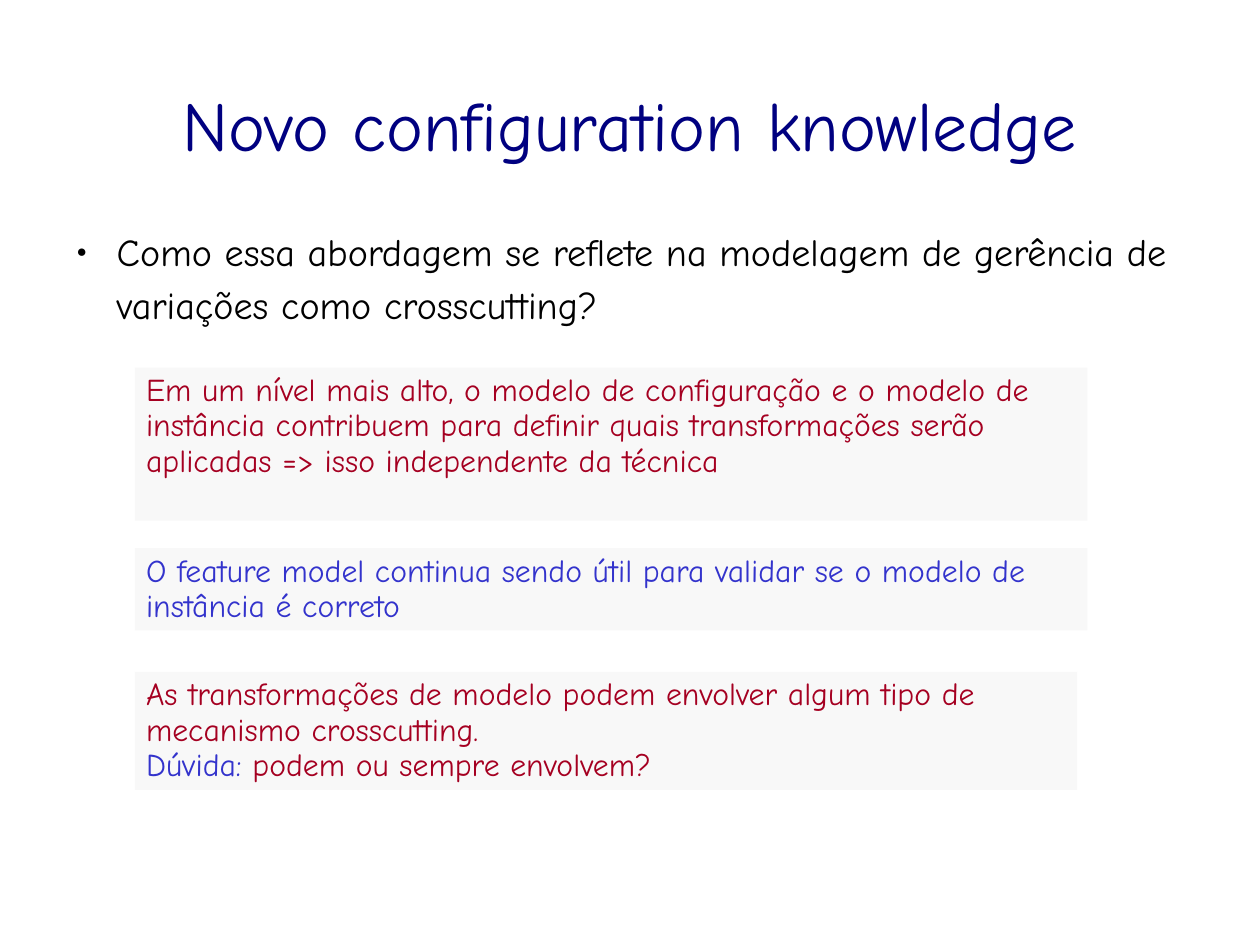
from dataclasses import dataclass

from lxml.etree import SubElement
from pptx import Presentation
from pptx.dml.color import RGBColor
from pptx.enum.shapes import MSO_SHAPE
from pptx.enum.text import MSO_ANCHOR, MSO_AUTO_SIZE, PP_ALIGN
from pptx.oxml.ns import qn
from pptx.util import Cm, Inches, Pt


@dataclass(frozen=True)
class Theme:
    font: str = "Comic Neue"
    title: str = "000080"
    body: str = "000000"
    red: str = "A50021"
    blue: str = "3333CC"
    panel: str = "F8F8F8"
    title_size: int = 44
    body_size: int = 24
    answer_size: int = 20
    loose: float = 1.16
    tight: float = 0.93


def write(paragraph, text, *, font, size, color, spacing, align=PP_ALIGN.LEFT, after=0):
    paragraph.alignment = align
    paragraph.line_spacing = spacing
    paragraph.space_before = Pt(0)
    paragraph.space_after = Pt(after)
    run = paragraph.add_run()
    run.text = text
    run.font.name = font
    run.font.size = Pt(size)
    run.font.color.rgb = RGBColor.from_string(color)


class SlideBuilder:
    """Builds one slide on a grid of 100 columns by 100 rows."""

    def __init__(self, presentation, theme):
        self.theme = theme
        self.column = presentation.slide_width / 100
        self.row = presentation.slide_height / 100
        self.slide = presentation.slides.add_slide(presentation.slide_layouts[1])

    def area(self, left, top, width, height):
        return (round(left * self.column), round(top * self.row),
                round(width * self.column), round(height * self.row))

    def frame(self, holder, anchor, inset_x=0, inset_y=0):
        frame = holder.text_frame
        frame.word_wrap = True
        frame.auto_size = MSO_AUTO_SIZE.NONE
        frame.vertical_anchor = anchor
        frame.margin_left = frame.margin_right = Inches(inset_x)
        frame.margin_top = frame.margin_bottom = Inches(inset_y)
        return frame

    def placeholder(self, holder, area, anchor):
        holder.left, holder.top, holder.width, holder.height = self.area(*area)
        return self.frame(holder, anchor).paragraphs[0]

    def title(self, text, area):
        heading = self.placeholder(self.slide.shapes.title, area, MSO_ANCHOR.MIDDLE)
        write(heading, text, font=self.theme.font, size=self.theme.title_size,
              color=self.theme.title, spacing=self.theme.loose, align=PP_ALIGN.CENTER)

    def bullet(self, text, area):
        question = self.placeholder(self.slide.placeholders[1], area, MSO_ANCHOR.TOP)
        write(question, text, font=self.theme.font, size=self.theme.body_size,
              color=self.theme.body, spacing=self.theme.loose, after=14.3)
        properties = question._p.get_or_add_pPr()
        properties.set("marL", str(Inches(0.47)))
        properties.set("indent", str(Inches(-0.35)))
        bullet_color = SubElement(properties, qn("a:buClr"))
        SubElement(bullet_color, qn("a:srgbClr"), val=self.theme.body)
        SubElement(properties, qn("a:buSzPct"), val="45000")
        SubElement(properties, qn("a:buChar"), char="●")

    def panel(self, lines, area):
        panel = self.slide.shapes.add_shape(MSO_SHAPE.RECTANGLE, *self.area(*area))
        panel.shadow.inherit = False
        panel.fill.solid()
        panel.fill.fore_color.rgb = RGBColor.from_string(self.theme.panel)
        panel.line.fill.background()
        frame = self.frame(panel, MSO_ANCHOR.TOP, 0.1, 0.05)
        for index, line in enumerate(lines):
            paragraph = frame.add_paragraph() if index else frame.paragraphs[0]
            for text, color in line:
                write(paragraph, text, font=self.theme.font, size=self.theme.answer_size,
                      color=color, spacing=self.theme.tight)


def main():
    presentation = Presentation()
    presentation.slide_width = Cm(28)
    presentation.slide_height = Cm(21)
    theme = Theme()
    builder = SlideBuilder(presentation, theme)

    builder.title("Novo configuration knowledge", (5, 4, 90, 16.7))
    builder.bullet("Como essa abordagem se reflete na modelagem de gerência de "
                   "variações como crosscutting?", (5, 23.4, 90, 14.5))

    level = [[("Em um nível mais alto, o modelo de configuração e o modelo de "
               "instância contribuem para definir quais transformações serão "
               "aplicadas => isso independente da técnica", theme.red)]]
    validation = [[("O feature model continua sendo útil para validar se o modelo de "
                    "instância é correto", theme.blue)]]
    mechanism = [[("As transformações de modelo podem envolver algum tipo de "
                   "mecanismo crosscutting.", theme.red)],
                 [("Dúvida:", theme.blue), (" podem ou sempre envolvem?", theme.red)]]
    for lines, top, width, height in ((level, 38.9, 75.6, 16.2),
                                      (mechanism, 71.1, 74.8, 12.5),
                                      (validation, 58, 75.6, 8.7)):
        builder.panel(lines, (10.7, top, width, height))

    presentation.save("out.pptx")


if __name__ == "__main__":
    main()
